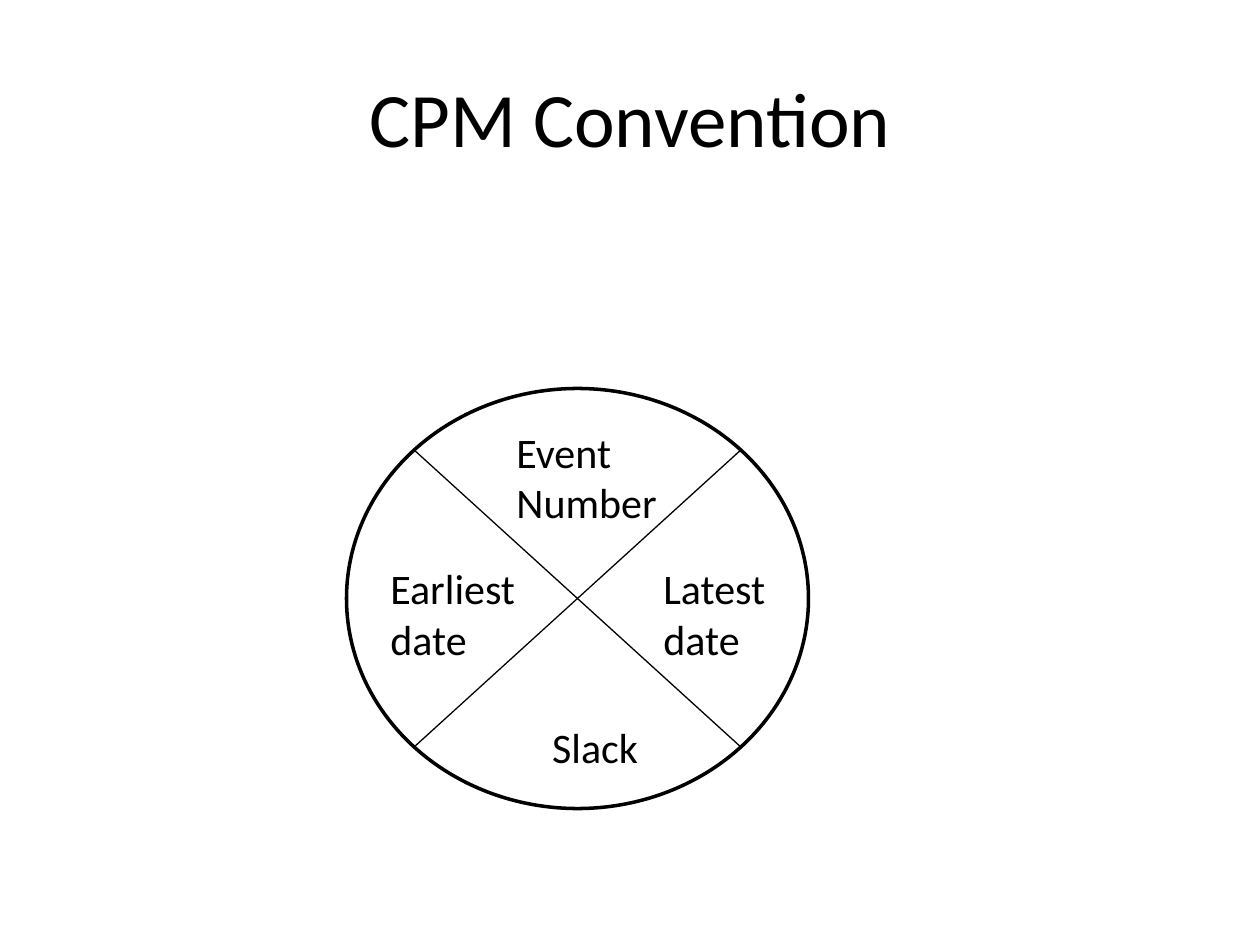
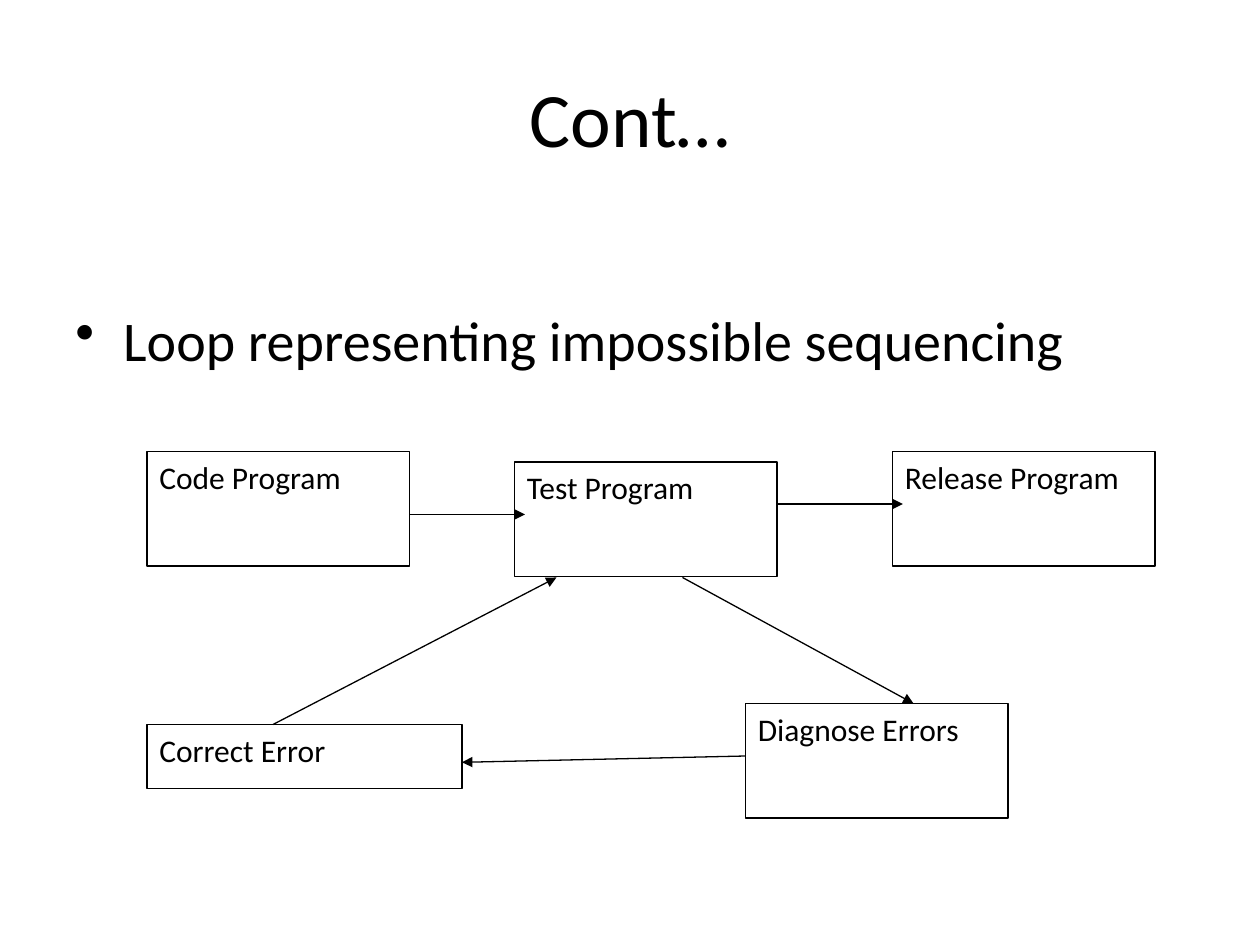
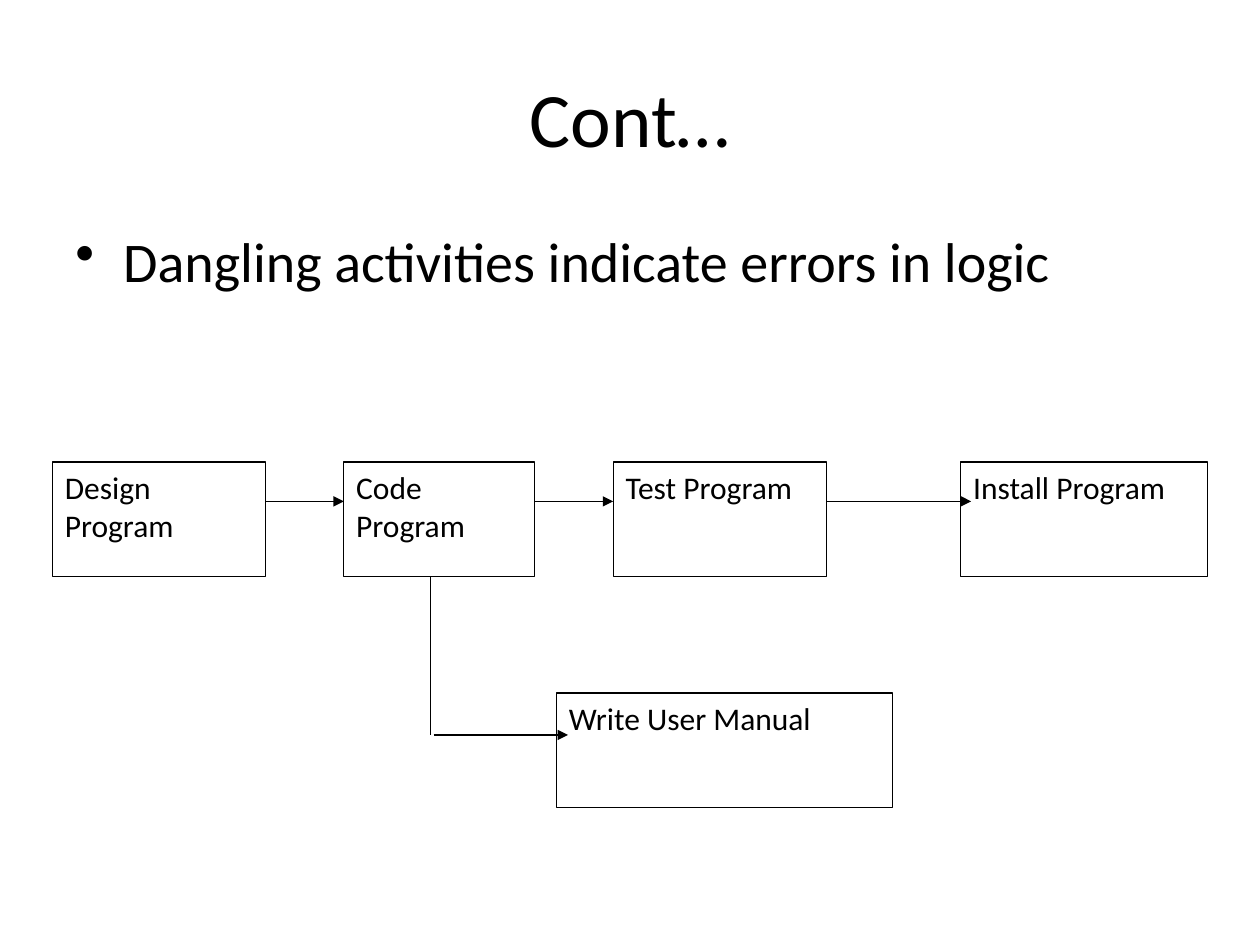
from dataclasses import dataclass
from math import sqrt

from pptx import Presentation
from pptx.dml.color import RGBColor
from pptx.enum.shapes import MSO_CONNECTOR, MSO_SHAPE
from pptx.enum.text import MSO_ANCHOR, PP_ALIGN
from pptx.oxml.ns import qn
from pptx.util import Inches, Pt


@dataclass(frozen=True)
class Theme:
    ink: RGBColor = RGBColor(0, 0, 0)
    font: str = "Calibri"
    title: int = 44
    body: int = 32
    label: int = 24
    node: int = 18
    thin: float = 0.75
    thick: float = 2


THEME = Theme()
WIDE, HIGH = Inches(10), Inches(7.5)
UNIT = WIDE / 120  # the grid has 120 columns and 90 rows
NODE_W, NODE_H = 25, 10.9


def grid(*cells):
    return [round(cell * UNIT) for cell in cells]


def add_bullet(para):
    """Give a paragraph a bullet with a hanging indent."""
    props = para._p.get_or_add_pPr()
    props.set("marL", str(Inches(0.38)))
    props.set("indent", str(-Inches(0.38)))
    props.append(props.makeelement(qn("a:buChar"), {"char": "•"}))


def write(frame, lines, size, align=PP_ALIGN.LEFT, bullet=False):
    """Fill a text frame with one paragraph for each line."""
    frame.text = "\n".join(lines)
    for para in frame.paragraphs:
        if bullet:
            add_bullet(para)
        para.alignment = align
        para.font.name = THEME.font
        para.font.size = Pt(size)
        para.font.color.rgb = THEME.ink


def add_text(slide, box, lines, size, wrap=True, **style):
    frame = slide.shapes.add_textbox(*grid(*box)).text_frame
    frame.word_wrap = wrap
    write(frame, lines, size, **style)
    return frame


def add_page(deck, title):
    slide = deck.slides.add_slide(deck.slide_layouts[6])
    frame = add_text(slide, (6, 3.6, 108, 15), [title], THEME.title,
                     align=PP_ALIGN.CENTER)
    frame.vertical_anchor = MSO_ANCHOR.MIDDLE
    return slide


def add_point(slide, top, text):
    add_text(slide, (6, top, 108, 8), [text], THEME.body, bullet=True)


def add_shape(slide, kind, box, weight):
    shape = slide.shapes.add_shape(kind, *grid(*box))
    shape.shadow.inherit = False
    shape.fill.background()
    shape.line.color.rgb = THEME.ink
    shape.line.width = Pt(weight)
    return shape


def add_node(slide, text, left, top, width=NODE_W, height=NODE_H):
    box = (left, top, width, height)
    frame = add_shape(slide, MSO_SHAPE.RECTANGLE, box, THEME.thin).text_frame
    frame.word_wrap = True
    frame.vertical_anchor = MSO_ANCHOR.TOP
    write(frame, [text], THEME.node)


def add_line(slide, start, end, arrow=True):
    line = slide.shapes.add_connector(MSO_CONNECTOR.STRAIGHT,
                                      *grid(*start, *end))
    line.line.color.rgb = THEME.ink
    line.line.width = Pt(THEME.thin)
    props = line._element.spPr
    props.append(props.makeelement(qn("a:effectLst"), {}))
    if arrow:
        edge = line.line._get_or_add_ln()
        edge.append(edge.makeelement(qn("a:tailEnd"), {"type": "triangle"}))


def draw_event(deck):
    slide = add_page(deck, "CPM Convention")
    left, top, width, height = box = (33, 37, 44, 40)
    add_shape(slide, MSO_SHAPE.OVAL, box, THEME.thick)
    mid_x, mid_y = left + width / 2, top + height / 2
    run, rise = width / 2 * sqrt(0.5), height / 2 * sqrt(0.5)
    for sign in (1, -1):
        add_line(slide, (mid_x - sign * run, mid_y - rise),
                 (mid_x + sign * run, mid_y + rise), arrow=False)
    for place, lines in (
        ((48, 40, 16, 11), ["Event", "Number"]),
        ((36, 53, 15.4, 11), ["Earliest", "date"]),
        ((51.4, 68.1, 10.7, 6), ["Slack"]),
        ((62, 53, 12.2, 11), ["Latest", "date"]),
    ):
        add_text(slide, place, lines, THEME.label, wrap=False)


def draw_loop(deck):
    slide = add_page(deck, "Cont…")
    add_point(slide, 28.5, "Loop representing impossible sequencing")
    add_node(slide, "Code Program", 14, 43)
    add_node(slide, "Test Program", 49, 44)
    add_node(slide, "Release Program", 85, 43)
    add_node(slide, "Correct Error", 14, 69, 30, 6.1)
    add_node(slide, "Diagnose Errors", 71, 67)
    for start, end in (
        ((39, 49), (50, 49)),
        ((74, 48), (86, 48)),
        ((26, 69), (53, 55)),
        ((65, 55), (87, 67)),
        ((71, 72), (44, 72.6)),
    ):
        add_line(slide, start, end)


def draw_dangle(deck):
    slide = add_page(deck, "Cont…")
    add_point(slide, 21, "Dangling activities indicate errors in logic")
    steps = (
        ("Design Program", 5, 20.3),
        ("Code Program", 32.75, 18.15),
        ("Test Program", 58.4, 20.3),
        ("Install Program", 91.5, 23.5),
    )
    for text, left, width in steps:
        add_node(slide, text, left, 44, width)
    add_node(slide, "Write User Manual", 53, 66, 32)
    for (_, left, width), (_, goal, _), over in zip(steps, steps[1:], (0, 0, 1)):
        add_line(slide, (left + width, 47.75), (goal + over, 47.75))
    add_line(slide, (41, 55), (41, 70), arrow=False)
    add_line(slide, (41.3, 70), (54.1, 70))


def main():
    deck = Presentation()
    deck.slide_width, deck.slide_height = WIDE, HIGH
    for draw in (draw_event, draw_loop, draw_dangle):
        draw(deck)
    deck.save("out.pptx")


if __name__ == "__main__":
    main()
